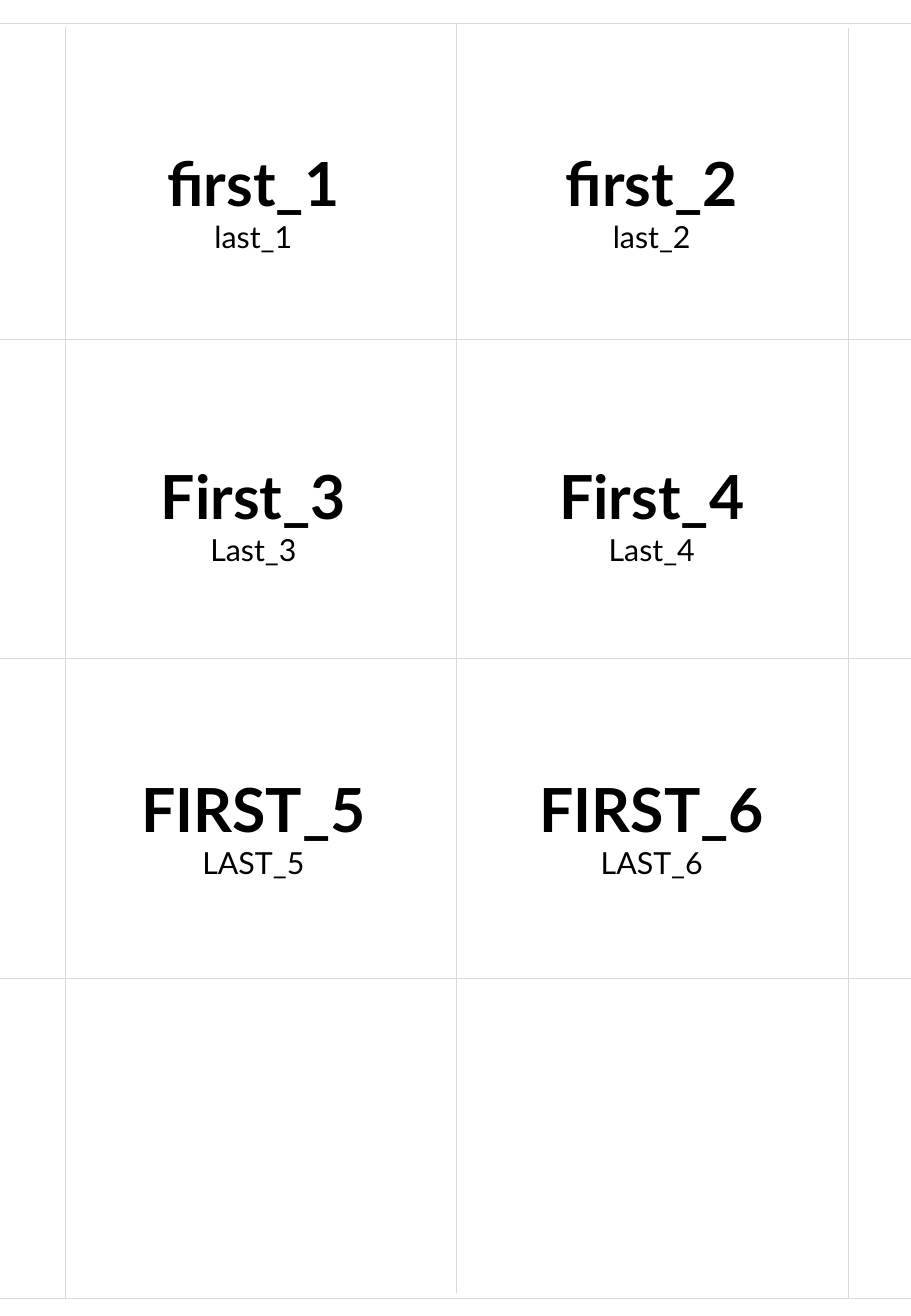
from lxml import etree
from pptx import Presentation
from pptx.dml.color import RGBColor
from pptx.enum.shapes import MSO_CONNECTOR
from pptx.enum.text import MSO_AUTO_SIZE, PP_ALIGN
from pptx.oxml.ns import qn
from pptx.util import Cm, Pt

STRAIGHT = MSO_CONNECTOR.STRAIGHT
CENTER = PP_ALIGN.CENTER
FIT_SHAPE = MSO_AUTO_SIZE.SHAPE_TO_FIT_TEXT

FONT = "Lato"
PAGE_W, PAGE_H = 19.05, 27.51
COLUMNS = 2
CARD_W, CARD_H = 8, 2.57
PITCH_X, PITCH_Y = 8.33, 6.54

NAMES = [
    ("first_1", "last_1"),
    ("first_2", "last_2"),
    ("First_3", "Last_3"),
    ("First_4", "Last_4"),
    ("FIRST_5", "LAST_5"),
    ("FIRST_6", "LAST_6"),
]
CUT_ROWS = [0.48, 7.09, 13.77, 20.45, 27.15]
CUT_COLUMNS = [(1.37, 0.56, 27.13), (9.55, 0.48, 27.03), (17.75, 0.58, 27.15)]


def rgb(value):
    return RGBColor.from_string(value)


def add_cut_line(s, x1, y1, x2, y2):
    line = s.shapes.add_connector(STRAIGHT, Cm(x1), Cm(y1), Cm(x2), Cm(y2))
    line.line.color.rgb = rgb("D9D9D9")
    line.line.width = Pt(0.5)
    etree.SubElement(line._element.spPr, qn("a:effectLst"))


def add_cut_lines(s, left, top, width):
    for y in CUT_ROWS:
        add_cut_line(s, left, top + y, left + width, top + y)
    for x, start, end in CUT_COLUMNS:
        add_cut_line(s, left + x, top + start, left + x, top + end)


def add_name_card(s, left, top, width, height, first, last):
    sp = s.shapes.add_textbox(Cm(left), Cm(top), Cm(width), Cm(height))
    tf = sp.text_frame
    tf.word_wrap = True
    tf.auto_size = FIT_SHAPE
    tf.text = f"{first}\n{last}"
    for p, size, bold in zip(tf.paragraphs, (36, 18), (True, False)):
        p.alignment = CENTER
        font = p.runs[0].font
        font.name = FONT
        font.size = Pt(size)
        font.bold = bold
        font.color.rgb = rgb("000000")


def add_name_cards(s, left, top):
    for i, (first, last) in enumerate(NAMES):
        row, column = divmod(i, COLUMNS)
        add_name_card(s, left + column * PITCH_X, top + row * PITCH_Y,
                      CARD_W, CARD_H, first, last)


prs = Presentation()
prs.slide_width, prs.slide_height = Cm(PAGE_W), Cm(PAGE_H)
s = prs.slides.add_slide(prs.slide_layouts[6])
add_cut_lines(s, 0, 0, PAGE_W)
add_name_cards(s, 1.3, 2.92)
prs.save("out.pptx")
